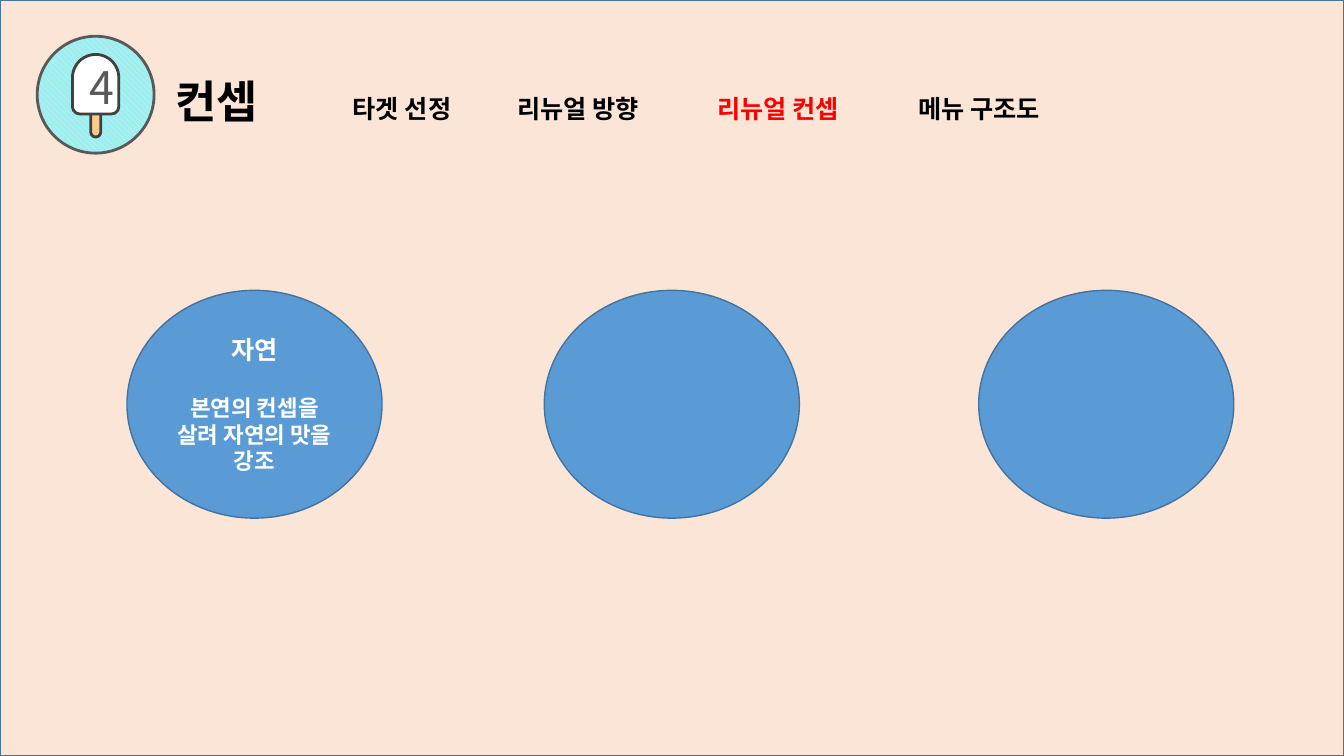
from dataclasses import dataclass

from lxml import etree
from pptx import Presentation
from pptx.dml.color import RGBColor
from pptx.enum.dml import MSO_PATTERN
from pptx.enum.shapes import MSO_SHAPE
from pptx.enum.text import MSO_ANCHOR, MSO_AUTO_SIZE, PP_ALIGN
from pptx.oxml.ns import qn
from pptx.util import Pt

RECTANGLE = MSO_SHAPE.RECTANGLE
OVAL = MSO_SHAPE.OVAL
ROUND_TOP = MSO_SHAPE.ROUND_2_SAME_RECTANGLE
STRIPES = MSO_PATTERN.WIDE_DOWNWARD_DIAGONAL
CENTER, LEFT = PP_ALIGN.CENTER, PP_ALIGN.LEFT
TOP, MIDDLE = MSO_ANCHOR.TOP, MSO_ANCHOR.MIDDLE
FIXED_SIZE = MSO_AUTO_SIZE.NONE

FONT = "Noto Sans CJK KR"
BLACK, WHITE, RED = "000000", "FFFFFF", "FF0000"
BLUE, BLUE_EDGE = "5B9BD5", "43739E"
DARK_GRAY, GRAY = "404040", "595959"
TITLE_LEFT, TITLE_INSET = 118.1, 7.2


@dataclass
class Figure:
    kind: int
    left: float
    top: float
    width: float
    height: float
    fill: str
    edge: str
    edge_width: float = 1
    corners: tuple[float, ...] = ()


@dataclass
class MenuItem:
    label: str
    left: float
    color: str = BLACK


BACKDROP = Figure(RECTANGLE, 0, 0, 960, 540, "FBE5D6", BLUE_EDGE)
BADGE = Figure(OVAL, 26.6, 25.9, 83.5, 83.5, "9FEEEF", GRAY, 2)
STICK = Figure(ROUND_TOP, 64.8, 77, 7.2, 20.9, "FACA8D", DARK_GRAY, 2, (0, 0.5))
ICE_BAR = Figure(ROUND_TOP, 51.8, 38.9, 33.1, 42.5, WHITE, DARK_GRAY, 2, (0.5, 0.154))
CONCEPTS = [Figure(OVAL, left, 207.4, 182.2, 162.7, BLUE, BLUE_EDGE)
            for left in (90.7, 388.8, 699.1)]
MENU = [
    MenuItem("타겟 선정", 252),
    MenuItem("리뉴얼 방향", 369.5),
    MenuItem("리뉴얼 컨셉", 512.5, RED),
    MenuItem("메뉴 구조도", 656),
]


def rgb(color: str) -> RGBColor:
    return RGBColor.from_string(color)


def draw(shapes, figure: Figure):
    shape = shapes.add_shape(figure.kind, Pt(figure.left), Pt(figure.top),
                             Pt(figure.width), Pt(figure.height))
    shape.shadow.inherit = False
    shape.fill.solid()
    shape.fill.fore_color.rgb = rgb(figure.fill)
    shape.line.color.rgb = rgb(figure.edge)
    shape.line.width = Pt(figure.edge_width)
    for index, corner in enumerate(figure.corners):
        shape.adjustments[index] = corner
    return shape


def add_span(para, text: str, *, size: float, color: str = BLACK, bold: bool = True) -> None:
    span = para.add_run()
    span.text = text
    span.font.name = FONT
    span.font.size = Pt(size)
    span.font.bold = bold
    span.font.color.rgb = rgb(color)
    east_asian = etree.SubElement(span.font._element, qn("a:ea"))
    east_asian.set("typeface", FONT)


def add_tab_stops(para, positions: list[float]) -> None:
    stops = etree.SubElement(para._p.get_or_add_pPr(), qn("a:tabLst"))
    for position in positions:
        etree.SubElement(stops, qn("a:tab"), pos=str(Pt(position)), algn="l")


def fill_title(title) -> None:
    title.left, title.top = Pt(TITLE_LEFT), Pt(33.1)
    title.width, title.height = Pt(812.9), Pt(85)
    frame = title.text_frame
    frame.word_wrap = True
    frame.auto_size = FIXED_SIZE
    frame.vertical_anchor = TOP
    para = frame.paragraphs[0]
    para.alignment = LEFT
    add_tab_stops(para, [item.left - TITLE_LEFT - TITLE_INSET for item in MENU])
    add_span(para, "컨셉", size=32)
    for index, item in enumerate(MENU):
        add_span(para, "\t", size=18 if index else 48)
        add_span(para, item.label, size=18, color=item.color)


def draw_popsicle(page) -> None:
    group = page.shapes.add_group_shape()
    badge = draw(group.shapes, BADGE)
    badge.fill.patterned()
    badge.fill.pattern = STRIPES
    badge.fill.fore_color.rgb = rgb("D1F6F7")
    badge.fill.back_color.rgb = rgb(BADGE.fill)
    draw(group.shapes, STICK)
    frame = draw(group.shapes, ICE_BAR).text_frame
    frame.vertical_anchor = MIDDLE
    frame.paragraphs[0].alignment = CENTER
    add_span(frame.paragraphs[0], "4", size=32, color=GRAY, bold=False)


def draw_concepts(page) -> None:
    circles = [draw(page.shapes, concept) for concept in CONCEPTS]
    frame = circles[0].text_frame
    frame.word_wrap = True
    frame.vertical_anchor = MIDDLE
    heading, detail = frame.paragraphs[0], frame.add_paragraph()
    heading.alignment = detail.alignment = CENTER
    detail.space_before = Pt(21)
    add_span(heading, "자연", size=18, color=WHITE)
    add_span(detail, "본연의 컨셉을 살려 자연의 맛을 강조", size=16, color=WHITE)


def main() -> None:
    deck = Presentation()
    deck.slide_width, deck.slide_height = Pt(960), Pt(540)
    page = deck.slides.add_slide(deck.slide_layouts.get_by_name("Title Only"))
    title = page.shapes.title
    backdrop = draw(page.shapes, BACKDROP)
    title._element.addprevious(backdrop._element)
    draw_popsicle(page)
    fill_title(title)
    draw_concepts(page)
    deck.save("out.pptx")


if __name__ == "__main__":
    main()
